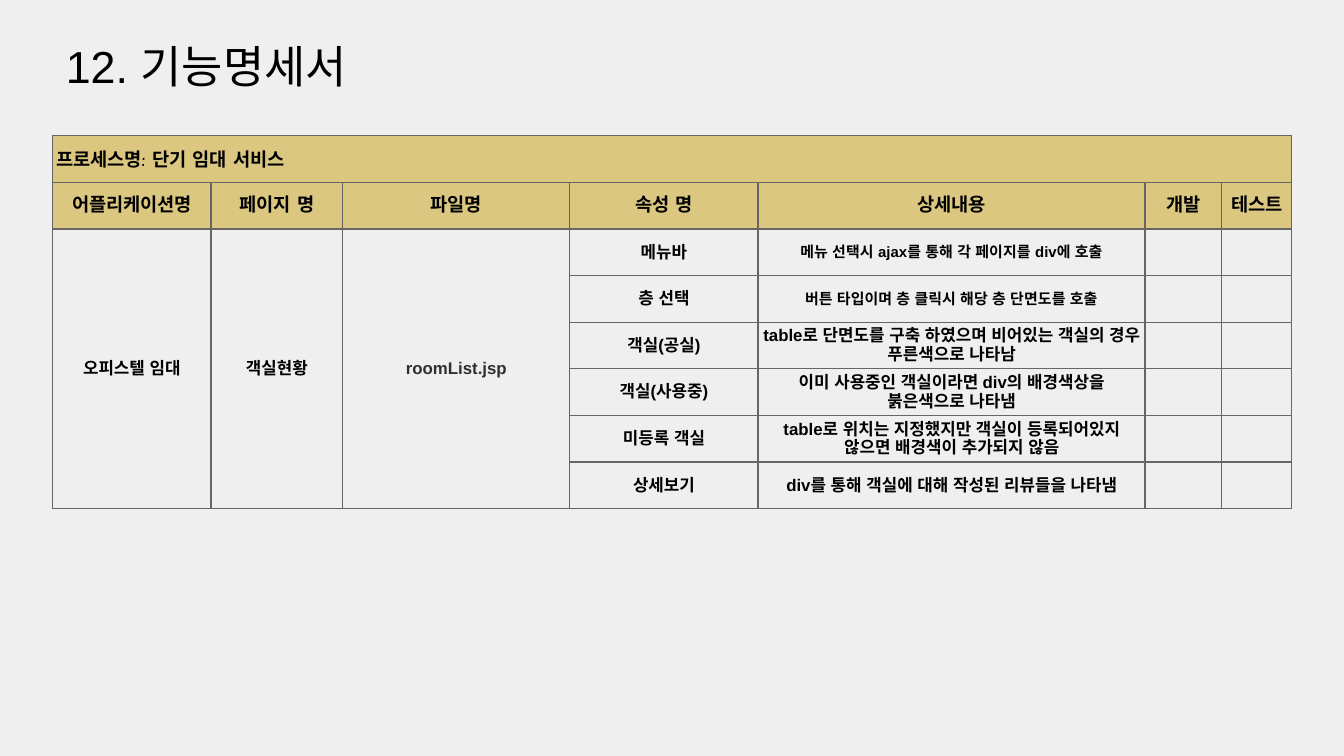
import pptx
import pptx.util
import pptx.dml.color
import pptx.enum.text
import pptx.oxml
import pptx.oxml.ns

Inches = pptx.util.Inches
ANCHOR = pptx.enum.text.MSO_ANCHOR
ALIGN = pptx.enum.text.PP_ALIGN
NAMESPACE = pptx.oxml.ns.nsdecls("a")

# Content
TITLE = "12. 기능명세서"
PROCESS = "프로세스명: 단기 임대 서비스"
HEADINGS = ["어플리케이션명", "페이지 명", "파일명", "속성 명", "상세내용", "개발", "테스트"]
SHARED = ["오피스텔 임대", "객실현황", "roomList.jsp"]
FEATURES = [
    ("메뉴바", "메뉴 선택시 ajax를 통해 각 페이지를 div에 호출", "small"),
    ("층 선택", "버튼 타입이며 층 클릭시 해당 층 단면도를 호출", "small"),
    ("객실(공실)", "table로 단면도를 구축 하였으며 비어있는 객실의 경우 푸른색으로 나타남", "body"),
    ("객실(사용중)", "이미 사용중인 객실이라면 div의 배경색상을 붉은색으로 나타냄", "body"),
    ("미등록 객실", "table로 위치는 지정했지만 객실이 등록되어있지 않으면 배경색이 추가되지 않음", "body"),
    ("상세보기", "div를 통해 객실에 대해 작성된 리뷰들을 나타냄", "body"),
]

# Theme and layout
THEME = {
    "back": "EFEFEF", "ink": "000000", "file": "2F2F2F", "gold": "D1B347",
    "border": "666666", "gold_alpha": 66, "border_width": 0.75,
    "title": 24, "heading": 10, "body": 9, "small": 8,
    "font": "Arial", "heading_font": "Comic Neue",
}
COLUMNS = [1.18, 0.98, 1.69, 1.4, 2.88, 0.57, 0.52]
ROW_HEIGHT = pptx.util.Pt(25)
FIRST_FEATURE = 2
LEFT, TABLE_TOP = 0.39, 1.01


def color(name):
    return pptx.dml.color.RGBColor.from_string(THEME[name])


def write(frame, text, size="body", font="font", ink="ink", bold=True,
          align=ALIGN.CENTER, spacing=None):
    para = frame.paragraphs[0]
    para.alignment = align
    if spacing:
        para.line_spacing = spacing
    span = para.add_run()
    span.text = text
    span.font.size = pptx.util.Pt(THEME[size])
    span.font.bold = bold
    span.font.color.rgb = color(ink)
    span.font.name = THEME[font]
    # Korean text takes its font from the East Asian slot
    span._r.get_or_add_rPr().append(pptx.oxml.parse_xml(
        f'<a:ea {NAMESPACE} typeface="{THEME[font]}"/>'))


def style_cell(cell, gold):
    cell.vertical_anchor = ANCHOR.MIDDLE
    cell.margin_left = cell.margin_right = Inches(0.03)
    cell.margin_top = cell.margin_bottom = Inches(0.02)
    # Borders come before the fill in the cell properties
    props = cell._tc.get_or_add_tcPr()
    width = pptx.util.Pt(THEME["border_width"])
    for side in ("lnL", "lnR", "lnT", "lnB"):
        props.append(pptx.oxml.parse_xml(
            f'<a:{side} {NAMESPACE} w="{width}"><a:solidFill>'
            f'<a:srgbClr val="{THEME["border"]}"/></a:solidFill></a:{side}>'))
    if gold:
        cell.fill.solid()
        cell.fill.fore_color.rgb = color("gold")
        tint = props.find(pptx.oxml.ns.qn("a:solidFill"))[0]
        tint.append(pptx.oxml.parse_xml(
            f'<a:alpha {NAMESPACE} val="{THEME["gold_alpha"] * 1000}"/>'))
    else:
        cell.fill.background()


# Widescreen page
deck = pptx.Presentation()
deck.slide_width = Inches(10)
deck.slide_height = deck.slide_width * 9 // 16
page = deck.slides.add_slide(deck.slide_layouts[5])
page.background.fill.solid()
page.background.fill.fore_color.rgb = color("back")

# Title
box = page.shapes.title
box.left, box.top, box.width, box.height = map(Inches, (LEFT, 0.19, 4.39, 0.59))
frame = box.text_frame
frame.word_wrap = True
frame.auto_size = pptx.enum.text.MSO_AUTO_SIZE.NONE
frame.vertical_anchor = ANCHOR.MIDDLE
frame.margin_left = frame.margin_right = Inches(0.1)
frame.margin_top = frame.margin_bottom = Inches(0.1)
write(frame, TITLE, size="title", bold=False, align=ALIGN.LEFT)

# Table grid
row_count = FIRST_FEATURE + len(FEATURES)
table = page.shapes.add_table(
    row_count, len(COLUMNS), Inches(LEFT), Inches(TABLE_TOP),
    Inches(sum(COLUMNS)), ROW_HEIGHT * row_count).table
table.first_row = table.horz_banding = False
for column, width in zip(table.columns, COLUMNS):
    column.width = Inches(width)
for index, row in enumerate(table.rows):
    row.height = ROW_HEIGHT
    for cell in row.cells:
        style_cell(cell, gold=index < FIRST_FEATURE)

# Process line and column headings
table.cell(0, 0).merge(table.cell(0, len(COLUMNS) - 1))
write(table.cell(0, 0).text_frame, PROCESS, size="heading", font="heading_font",
      align=ALIGN.LEFT, spacing=1.15)
for index, heading in enumerate(HEADINGS):
    write(table.cell(1, index).text_frame, heading, size="heading", font="heading_font")

# Cells shared by all features
for index, text in enumerate(SHARED):
    cell = table.cell(FIRST_FEATURE, index)
    cell.merge(table.cell(row_count - 1, index))
    write(cell.text_frame, text, ink="file" if text.endswith(".jsp") else "ink")

# Feature rows
for index, (name, detail, size) in enumerate(FEATURES, FIRST_FEATURE):
    write(table.cell(index, 3).text_frame, name)
    write(table.cell(index, 4).text_frame, detail, size=size)

deck.save("out.pptx")
